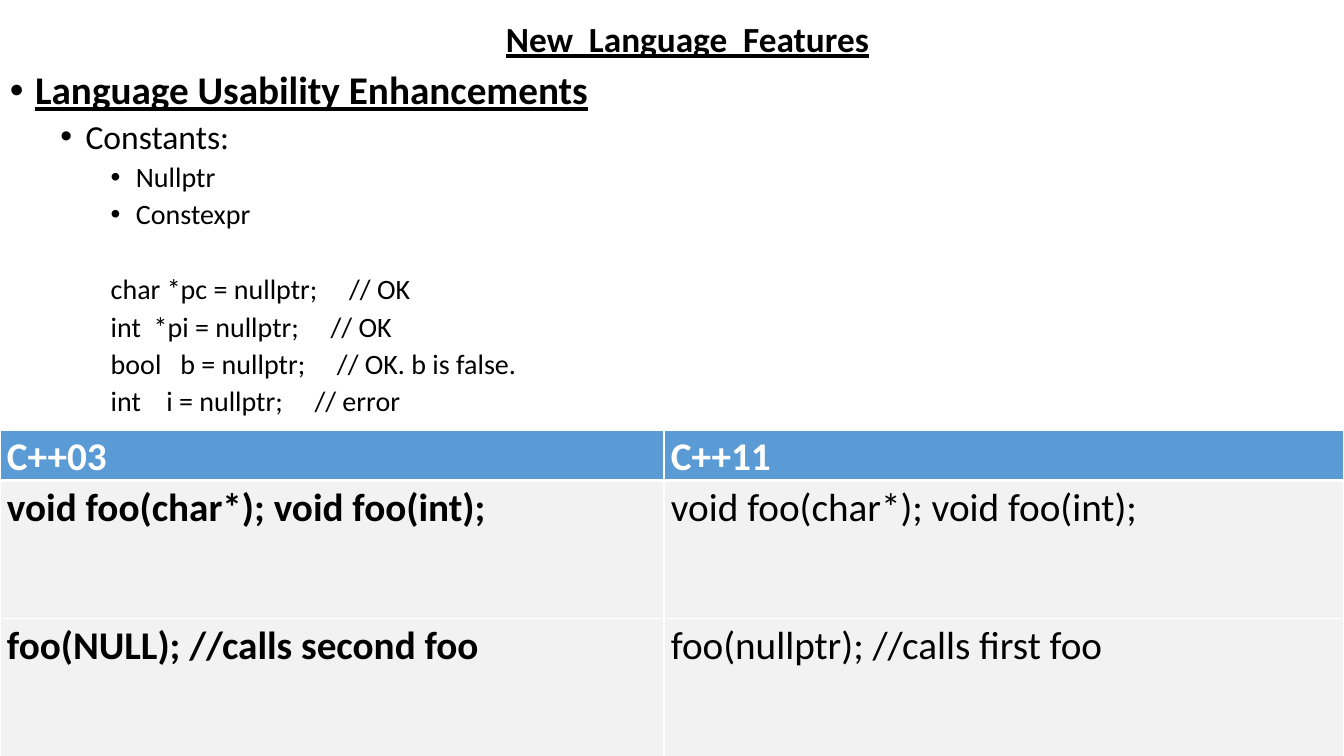
from dataclasses import dataclass
from lxml import etree
from pptx import Presentation
from pptx import util as u
from pptx.dml.color import RGBColor as Rgb
from pptx.enum import text
from pptx.oxml.ns import qn


@dataclass(frozen=True)
class Theme:
    font: str = "Calibri"
    ink: str = "000000"
    white: str = "FFFFFF"
    head: str = "5B9BD5"
    pale: str = "F2F2F2"
    title: float = 25.2
    cell: int = 28
    levels: tuple = (28, 24, 20)


THEME = Theme()
SCALE = 914400 / 100.8


def px(num):
    return u.Emu(round(num * SCALE))


def style(para, size, color=THEME.ink, bold=False, line=0.9):
    font = para.font
    font.name, font.size, font.bold = THEME.font, u.Pt(size), bold
    font.color.rgb = Rgb.from_string(color)
    para.line_spacing = line


def add_text(slide, box):
    frame = slide.shapes.add_textbox(*map(px, box)).text_frame
    frame.word_wrap = True
    return frame


def indent(para, left, hang):
    props = para._p.get_or_add_pPr()
    props.set("marL", str(px(left)))
    props.set("indent", str(-px(hang)))
    if hang:
        etree.SubElement(props, qn("a:buFont")).set("typeface", "Arial")
        etree.SubElement(props, qn("a:buChar")).set("char", "•")
    else:
        etree.SubElement(props, qn("a:buNone"))


def add_title(slide, box, words):
    frame = add_text(slide, box)
    frame.margin_left = frame.margin_right = 0
    frame.vertical_anchor = text.MSO_ANCHOR.MIDDLE
    para = frame.paragraphs[0]
    para.text = words
    style(para, THEME.title, bold=True)
    para.font.underline = True


def add_body(slide, box, points, code):
    frame = add_text(slide, box)
    step, hang = 50.4, 25.2
    rows = [(level, words, hang) for level, words in points]
    rows += [(2, words, 0) for words in code]
    for idx, (level, words, dent) in enumerate(rows):
        para = frame.add_paragraph() if idx else frame.paragraphs[0]
        para.text, para.level = words, level
        top = level == 0
        style(para, THEME.levels[level], bold=top)
        para.font.underline = top
        gap = 32 if idx == len(points) else 5
        para.space_before = u.Pt(gap if idx else 0)
        indent(para, level * step + dent, dent)


def add_edges(cell, widths):
    props = cell._tc.get_or_add_tcPr()
    for idx, (side, width) in enumerate(zip("LRTB", widths)):
        line = etree.Element(qn("a:ln" + side), w=str(u.Pt(width)))
        fill = etree.SubElement(line, qn("a:solidFill"))
        etree.SubElement(fill, qn("a:srgbClr")).set("val", THEME.white)
        props.insert(idx, line)


def add_grid(slide, box, cols, rows, data):
    table = slide.shapes.add_table(len(rows), len(cols), *map(px, box)).table
    for col, width in zip(table.columns, cols):
        col.width = px(width)
    for row, height in zip(table.rows, rows):
        row.height = px(height)
    for i, line in enumerate(data):
        for j, words in enumerate(line):
            cell = table.cell(i, j)
            head = i == 0
            cell.margin_left = cell.margin_right = px(7)
            cell.margin_top = cell.margin_bottom = 0
            cell.fill.solid()
            cell.fill.fore_color.rgb = Rgb.from_string(THEME.head if head else THEME.pale)
            add_edges(cell, (1, 1, 3 if i == 1 else 1, 3 if head else 1))
            para = cell.text_frame.paragraphs[0]
            para.text = words
            style(para, THEME.cell, THEME.white if head else THEME.ink, head or j == 0, 1.07)


def build():
    deck = Presentation()
    deck.slide_width, deck.slide_height = px(1344), px(756)
    slide = deck.slides.add_slide(deck.slide_layouts[6])
    add_title(slide, (506, 8, 400, 66), "New \u00a0Language \u00a0Features")
    add_body(
        slide,
        (0, 66, 1344, 364),
        [
            (0, "Language Usability Enhancements"),
            (1, "Constants:"),
            (2, "Nullptr"),
            (2, "Constexpr"),
        ],
        [
            "char *pc = nullptr;     // OK",
            "int  *pi = nullptr;     // OK",
            "bool   b = nullptr;     // OK. b is false.",
            "int    i = nullptr;     // error",
        ],
    )
    add_grid(
        slide,
        (0, 430, 1344, 326),
        (664, 680),
        (50, 138, 138),
        [
            ("C++03", "C++11"),
            ("void foo(char*); void foo(int);",) * 2,
            ("foo(NULL); //calls second foo", "foo(nullptr); //calls first foo"),
        ],
    )
    deck.save("out.pptx")


build()
